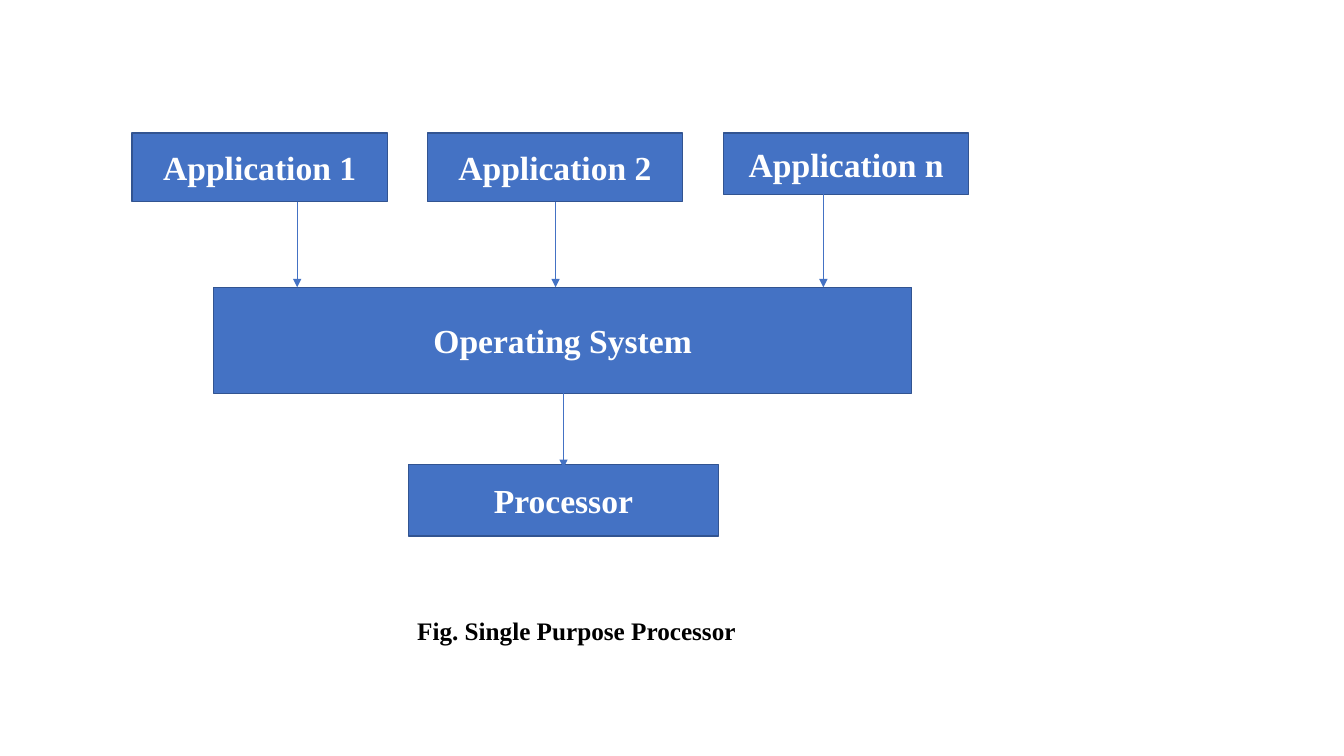
from pptx import Presentation
from pptx.dml.color import RGBColor
from pptx.enum.shapes import MSO_CONNECTOR, MSO_SHAPE
from pptx.enum.text import MSO_ANCHOR, MSO_AUTO_SIZE, PP_ALIGN
from pptx.oxml.ns import qn
from pptx.util import Cm, Pt
from lxml.etree import SubElement

FONT = "Times New Roman"
COLORS = {"fill": "4472C4", "border": "325491", "box_text": "FFFFFF", "caption": "000000"}

# label: left, top, width, height in cm
BOXES = {
    "Application 1": (3.33, 3.35, 6.43, 1.73),
    "Application 2": (10.77, 3.35, 6.43, 1.73),
    "Application n": (18.24, 3.35, 6.17, 1.55),
    "Operating System": (5.38, 7.24, 17.6, 2.67),
    "Processor": (10.29, 11.71, 7.82, 1.8),
}
# source, target, x in cm, overlap with the target in cm
ARROWS = [
    ("Application 1", "Operating System", 7.49, 0),
    ("Application 2", "Operating System", 14, 0),
    ("Application n", "Operating System", 20.75, 0),
    ("Operating System", "Processor", 14.2, 0.08),
]
CAPTION = "Fig. Single Purpose Processor"
CAPTION_AREA = (9.55, 15.37, 9.96, 1.02)


def rgb(name):
    return RGBColor.from_string(COLORS[name])


def write(tf, text, size, color):
    tf.word_wrap = True
    p = tf.paragraphs[0]
    p.text = text
    p.alignment = PP_ALIGN.CENTER
    p.font.name = FONT
    p.font.size = Pt(size)
    p.font.bold = True
    p.font.color.rgb = rgb(color)


def add_box(s, label, area):
    sp = s.shapes.add_shape(MSO_SHAPE.RECTANGLE, *map(Cm, area))
    sp.shadow.inherit = False
    sp.fill.solid()
    sp.fill.fore_color.rgb = rgb("fill")
    sp.line.color.rgb = rgb("border")
    sp.line.width = Pt(1)
    sp.text_frame.vertical_anchor = MSO_ANCHOR.MIDDLE
    write(sp.text_frame, label, 24, "box_text")


def add_arrow(s, source, target, x, overlap):
    """Draw a vertical arrow from the bottom of source to the top of target."""
    _, top, _, height = BOXES[source]
    end = BOXES[target][1] + overlap
    line = s.shapes.add_connector(MSO_CONNECTOR.STRAIGHT, Cm(x), Cm(top + height), Cm(x), Cm(end))
    line.line.color.rgb = rgb("fill")
    line.line.width = Pt(0.5)
    SubElement(line.line._get_or_add_ln(), qn("a:tailEnd"), type="triangle")
    SubElement(line._element.spPr, qn("a:effectLst"))


def main():
    prs = Presentation()
    prs.slide_width, prs.slide_height = Cm(33.87), Cm(19.05)
    s = prs.slides.add_slide(prs.slide_layouts[6])
    for label, area in BOXES.items():
        add_box(s, label, area)
    for arrow in ARROWS:
        add_arrow(s, *arrow)
    tf = s.shapes.add_textbox(*map(Cm, CAPTION_AREA)).text_frame
    write(tf, CAPTION, 18, "caption")
    tf.auto_size = MSO_AUTO_SIZE.SHAPE_TO_FIT_TEXT
    prs.save("out.pptx")


if __name__ == "__main__":
    main()
